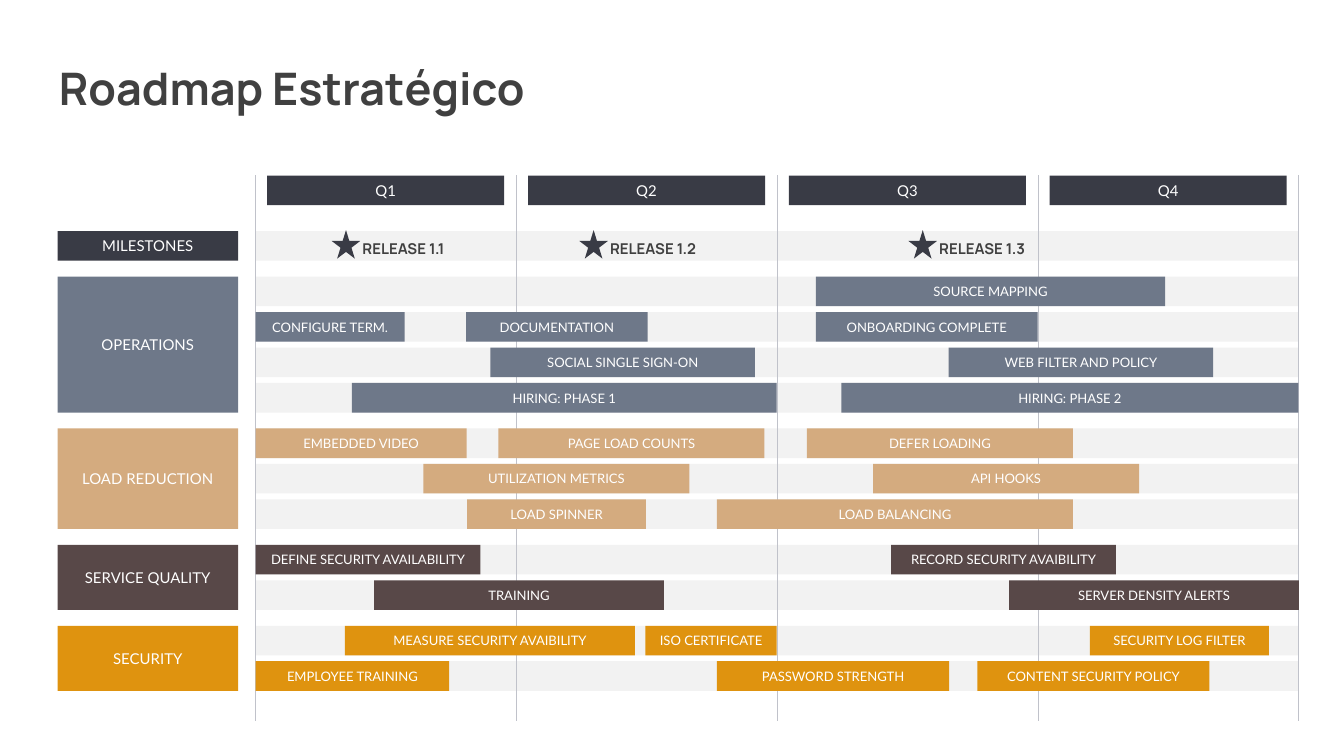
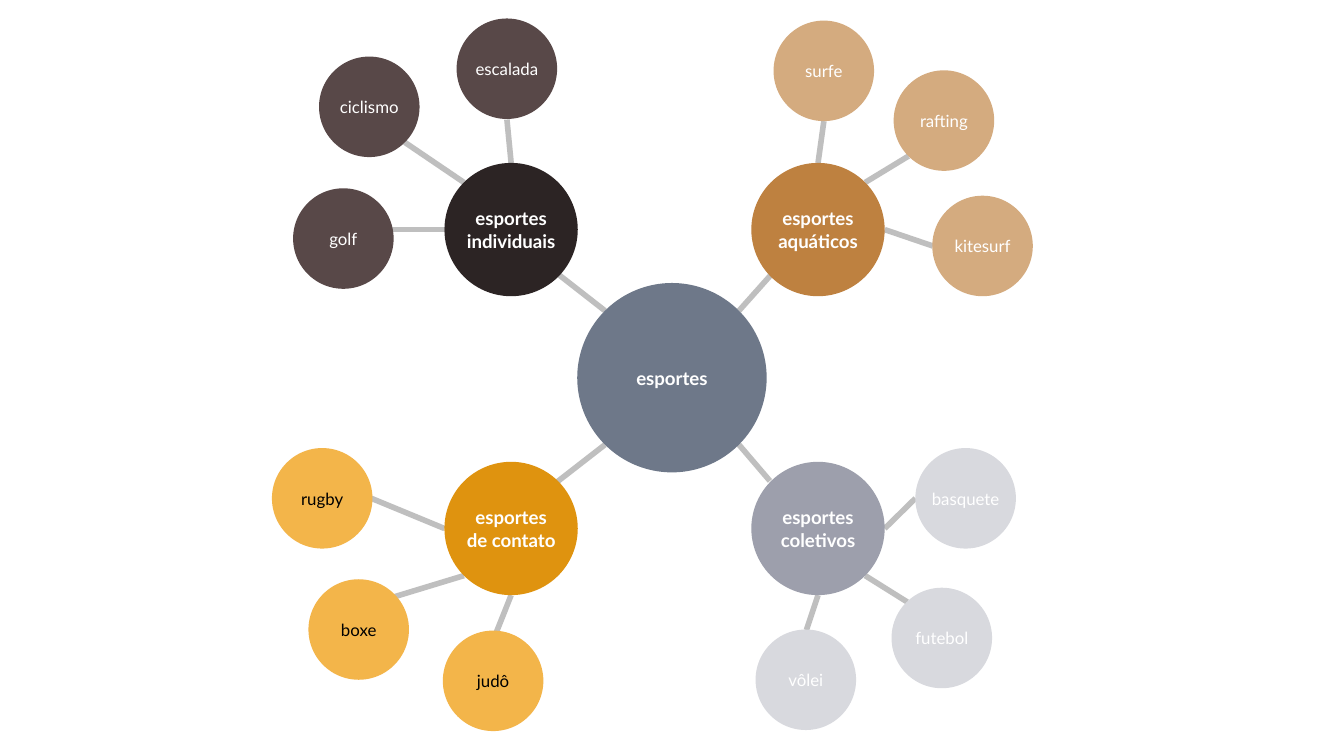
import math

from lxml import etree
from pptx import Presentation
from pptx.dml.color import RGBColor
from pptx.enum import shapes, text
from pptx.oxml import ns
from pptx.util import Cm, Pt

rgb = RGBColor.from_string
BODY_FONT, TITLE_FONT = "Lato", "Manrope"
WHITE, BLACK, GREY_TEXT = "FFFFFF", "000000", "404040"
NAVY, SLATE, SAND, BROWN, AMBER = "393B45", "6E7889", "D4AB7F", "584848", "DF930F"
RECT, OVAL, STAR = (shapes.MSO_SHAPE.RECTANGLE, shapes.MSO_SHAPE.OVAL,
                    shapes.MSO_SHAPE.STAR_5_POINT)


def add_box(parent, kind, x, y, w, h, fill, label="", size=8, color=WHITE, bold=False):
    sp = parent.add_shape(kind, Cm(x), Cm(y), Cm(w), Cm(h))
    sp.shadow.inherit = False
    sp.fill.solid()
    sp.fill.fore_color.rgb = rgb(fill)
    sp.line.fill.background()
    if label:
        tf = sp.text_frame
        tf.word_wrap = True
        tf.margin_left = tf.margin_right = tf.margin_top = tf.margin_bottom = 0
        tf.vertical_anchor = text.MSO_ANCHOR.MIDDLE
        tf.text = label
        p = tf.paragraphs[0]
        p.alignment = text.PP_ALIGN.CENTER
        f = p.runs[0].font
        f.name, f.size, f.bold, f.color.rgb = BODY_FONT, Pt(size), bold, rgb(color)


def add_line(s, x1, y1, x2, y2, color, width):
    c = s.shapes.add_connector(shapes.MSO_CONNECTOR.STRAIGHT, Cm(x1), Cm(y1), Cm(x2), Cm(y2))
    c.line.color.rgb = rgb(color)
    c.line.width = Pt(width)
    etree.SubElement(c._element.spPr, ns.qn("a:effectLst"))


prs = Presentation()
prs.slide_width, prs.slide_height = Cm(25.4), Cm(14.29)

# Slide 1: roadmap
s = prs.slides.add_slide(prs.slide_layouts[5])
title = s.shapes.title
title.left, title.top, title.width, title.height = Cm(0.86), Cm(1.02), Cm(12.22), Cm(1.27)
tf = title.text_frame
tf.text = "Roadmap Estratégico"
tf.vertical_anchor = text.MSO_ANCHOR.MIDDLE
p = tf.paragraphs[0]
p.alignment = text.PP_ALIGN.LEFT
f = p.runs[0].font
f.name, f.size, f.bold, f.color.rgb = TITLE_FONT, Pt(24), True, rgb(GREY_TEXT)

LEFT, QUARTER = 4.83, 4.93
ROW_H, ROW_STEP, GROUP_STEP = 0.56, 0.67, 0.86
FIRST_ROW = 4.37

# Each group holds rows of tasks: label, left, width
groups = [
    ("MILESTONES", NAVY, [[]]),
    ("OPERATIONS", SLATE, [
        [("SOURCE MAPPING", 15.42, 6.6)],
        [("CONFIGURE TERM.", LEFT, 2.82), ("DOCUMENTATION", 8.81, 3.43),
         ("ONBOARDING COMPLETE", 15.42, 4.19)],
        [("SOCIAL SINGLE SIGN-ON", 9.27, 5), ("WEB FILTER AND POLICY", 17.93, 5)],
        [("HIRING: PHASE 1", 6.65, 8.03), ("HIRING: PHASE 2", 15.9, 8.64)],
    ]),
    ("LOAD REDUCTION", SAND, [
        [("EMBEDDED VIDEO", LEFT, 3.99), ("PAGE LOAD COUNTS", 9.42, 5.03),
         ("DEFER LOADING", 15.25, 5.03)],
        [("UTILIZATION METRICS", 8, 5.03), ("API HOOKS", 16.5, 5.03)],
        [("LOAD SPINNER", 8.83, 3.38), ("LOAD BALANCING", 13.55, 6.73)],
    ]),
    ("SERVICE QUALITY", BROWN, [
        [("DEFINE SECURITY AVAILABILITY", LEFT, 4.25),
         ("RECORD SECURITY AVAIBILITY", 16.84, 4.25)],
        [("TRAINING", 7.07, 5.48), ("SERVER DENSITY ALERTS", 19.07, 5.48)],
    ]),
    ("SECURITY", AMBER, [
        [("MEASURE SECURITY AVAIBILITY", 6.52, 5.48), ("ISO CERTIFICATE", 12.2, 2.48),
         ("SECURITY LOG FILTER", 20.6, 3.38)],
        [("EMPLOYEE TRAINING", LEFT, 3.66), ("PASSWORD STRENGTH", 13.55, 4.39),
         ("CONTENT SECURITY POLICY", 18.47, 4.39)],
    ]),
]

# Group labels and grey lanes
lanes = s.shapes.add_group_shape().shapes
bars = []
top = FIRST_ROW
for name, fill, rows in groups:
    last = top + (len(rows) - 1) * ROW_STEP
    add_box(s.shapes, RECT, 1.09, top, 3.41, last - top + ROW_H, fill, name)
    for i, row in enumerate(rows):
        y = top + i * ROW_STEP
        add_box(lanes, RECT, LEFT, y, 4 * QUARTER, ROW_H, "F2F2F2")
        bars += [(label, x, y, w, fill) for label, x, w in row]
    top = last + GROUP_STEP

# Quarter lines and headers
for i in range(5):
    x = LEFT + i * QUARTER
    add_line(s, x, 3.31, x, 13.63, "C0C2CA", 0.5)
for i in range(4):
    add_box(s.shapes, RECT, LEFT + i * QUARTER + 0.22, 3.32, 4.48, ROW_H, NAVY, f"Q{i + 1}")

# Task bars
for label, x, y, w, fill in bars:
    add_box(s.shapes, RECT, x, y, w, ROW_H, fill, label, 7)

# Releases
for i, x in enumerate([6.27, 10.95, 17.17], 1):
    release = s.shapes.add_group_shape().shapes
    add_box(release, STAR, x, 4.35, 0.54, 0.54, NAVY)
    tf = release.add_textbox(Cm(x + 0.33), Cm(4.39), Cm(2.49), Cm(0.61)).text_frame
    tf.word_wrap = True
    tf.vertical_anchor = text.MSO_ANCHOR.MIDDLE
    tf.text = f"RELEASE 1.{i}"
    f = tf.paragraphs[0].runs[0].font
    f.name, f.size, f.bold, f.color.rgb = TITLE_FONT, Pt(8), True, rgb(GREY_TEXT)

# Slide 2: mind map
s = prs.slides.add_slide(prs.slide_layouts[6])
HUB_X, HUB_Y = 12.7, 7.14
HUB_R, TOPIC_R, LEAF_R = 1.79, 1.26, 0.95

# Topic: label, centre, fill, leaf fill, leaf text, angle at the hub, line end, leaves
# Leaf: label, centre, angle at the topic, line end
topics = [
    ("esportes individuais", 9.66, 4.34, "2C2424", BROWN, WHITE, 225, 9.93, 4.7, [
        ("golf", 6.49, 4.51, 180, 7.09, 4.34),
        ("ciclismo", 6.98, 2.02, 225, 7.65, 2.69),
        ("escalada", 9.58, 1.3, 270, 9.58, 2.26)]),
    ("esportes aquáticos", 15.46, 4.34, "BE8140", SAND, WHITE, 315, 15.19, 4.5, [
        ("surfe", 15.57, 1.34, 270, 15.57, 2.29),
        ("rafting", 17.84, 2.28, 315, 17.17, 2.95),
        ("kitesurf", 18.57, 4.65, 0, 17.63, 4.65)]),
    ("esportes de contato", 9.66, 9.99, AMBER, "F3B54A", BLACK, 135, 9.37, 10.01, [
        ("judô", 9.32, 12.87, 90, 9.07, 12.73),
        ("boxe", 6.78, 11.9, 135, 6.96, 11.43),
        ("rugby", 6.09, 9.42, 180, 6.22, 9.09)]),
    ("esportes coletivos", 15.46, 9.99, "9D9FAC", "D8D9DE", WHITE, 45, 14.55, 9.09, [
        ("basquete", 18.25, 9.42, 0, 17.3, 9.42),
        ("futebol", 17.8, 12.06, 45, 17.15, 11.38),
        ("vôlei", 15.23, 12.85, 90, 15.24, 11.91)]),
]

# Collect links and circles, so that the links lie behind
links = []
circles = [("esportes", HUB_X, HUB_Y, HUB_R, SLATE, 10, WHITE, True)]
for name, cx, cy, fill, leaf_fill, leaf_text, angle, ex, ey, leaves in topics:
    links.append((HUB_X, HUB_Y, HUB_R, angle, ex, ey))
    circles.append((name, cx, cy, TOPIC_R, fill, 10, WHITE, True))
    for leaf, lx, ly, angle, ex, ey in leaves:
        links.append((cx, cy, TOPIC_R, angle, ex, ey))
        circles.append((leaf, lx, ly, LEAF_R, leaf_fill, 9, leaf_text, False))

for cx, cy, radius, angle, ex, ey in links:
    a = math.radians(angle)
    add_line(s, cx + radius * math.cos(a), cy + radius * math.sin(a), ex, ey, "BFBFBF", 3)
for label, cx, cy, radius, fill, size, color, bold in circles:
    add_box(s.shapes, OVAL, cx - radius, cy - radius, 2 * radius, 2 * radius,
            fill, label, size, color, bold)

prs.save("out.pptx")
